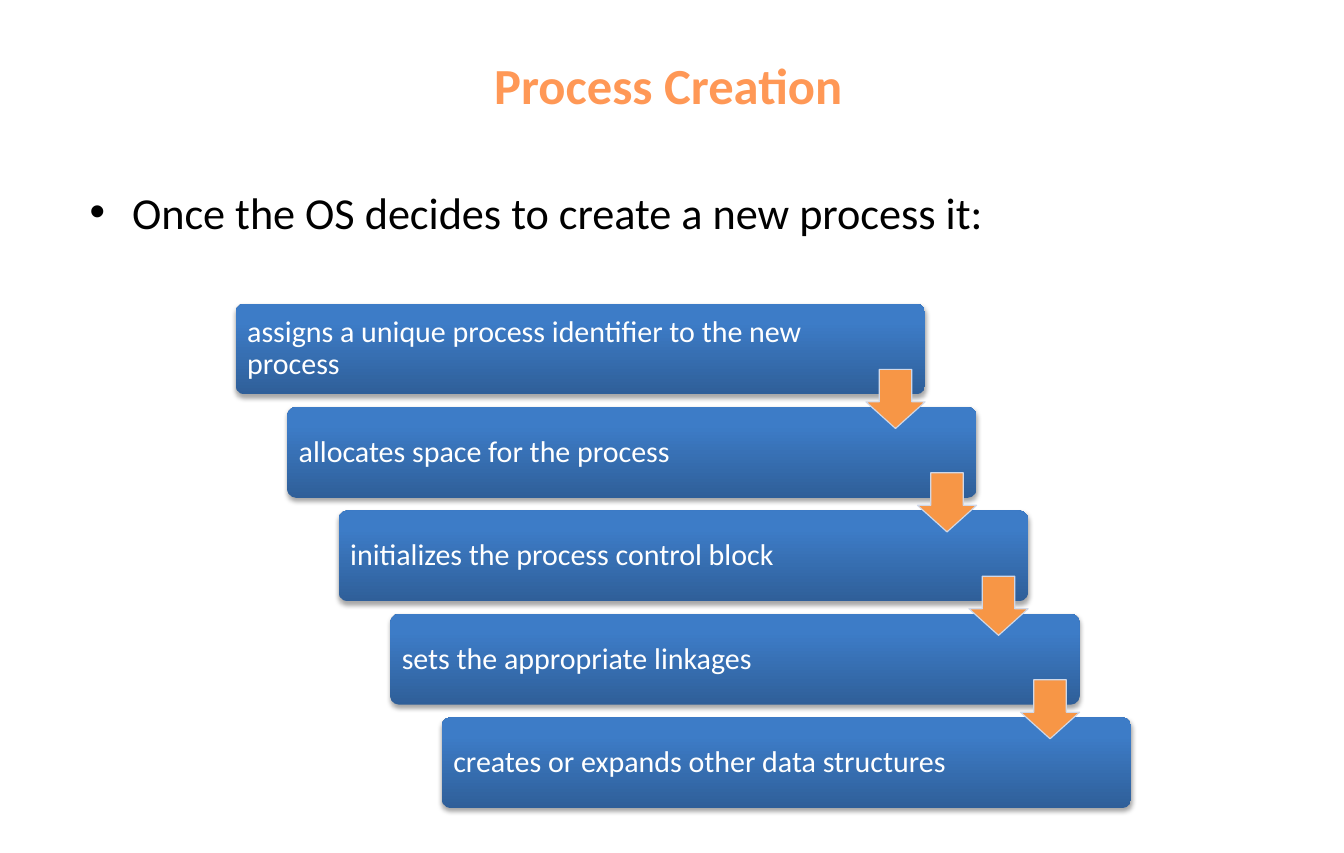
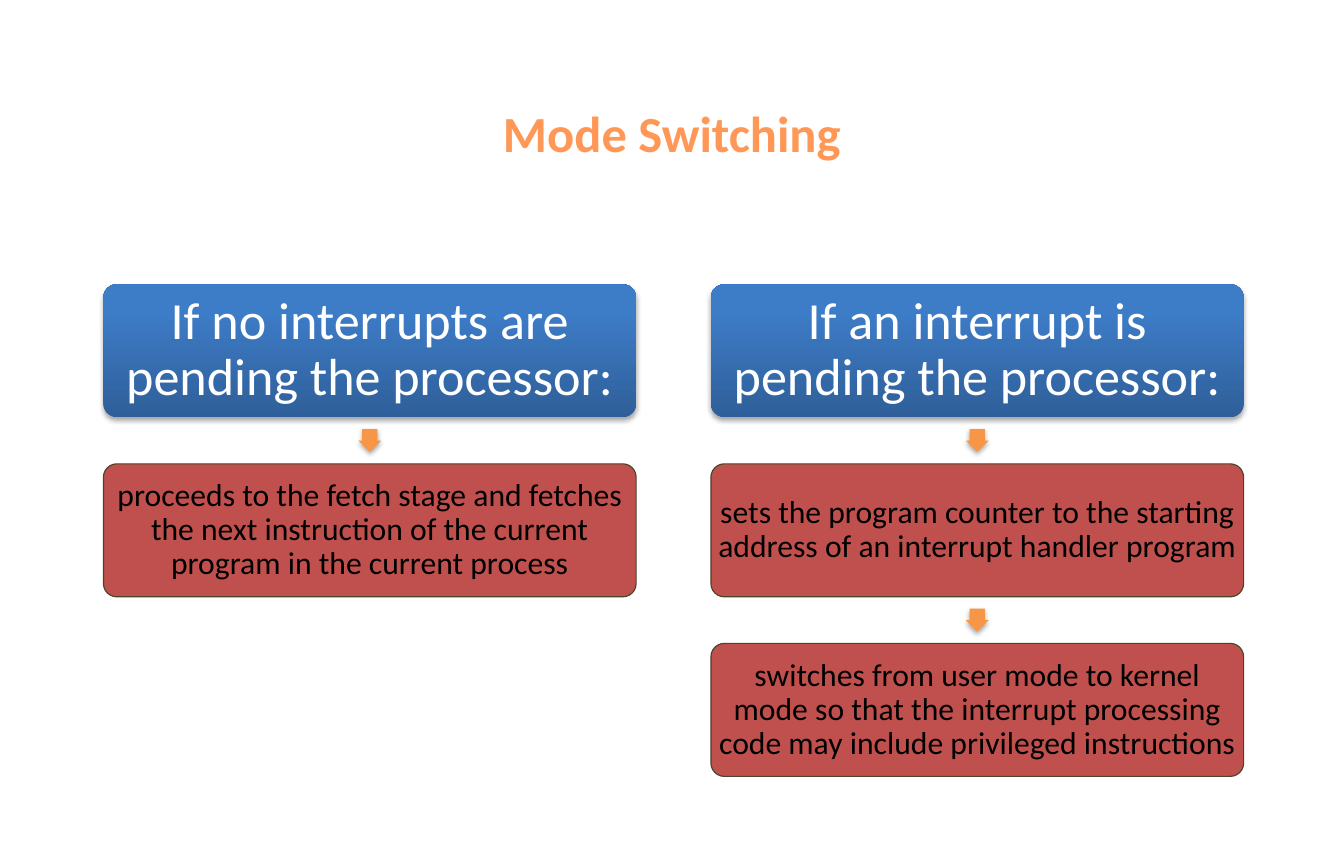
from lxml.etree import SubElement as Sub
from pptx import Presentation
from pptx.dml.color import RGBColor as RGB
from pptx.enum.shapes import MSO_SHAPE as Form
from pptx.enum.text import MSO_ANCHOR as Anchor, PP_ALIGN as Align
from pptx.oxml.ns import qn
from pptx.util import Cm, Pt

# Content
STEPS = [
    "assigns a unique process identifier to the new process",
    "allocates space for the process",
    "initializes the process control block",
    "sets the appropriate linkages",
    "creates or expands other data structures",
]
CASES = [
    ("If no interrupts are pending the processor:",
     ["proceeds to the fetch stage and fetches the next instruction of "
      "the current program in the current process"]),
    ("If an interrupt is pending the processor:",
     ["sets the program counter to the starting address of an interrupt "
      "handler program",
      "switches from user mode to kernel mode so that the interrupt "
      "processing code may include privileged instructions"]),
]

# Shared style
FONT = "Calibri"
PEACH = RGB(0xFF, 0x98, 0x56)
ORANGE = RGB(0xF7, 0x96, 0x46)
NAVY = RGB(0x2F, 0x5F, 0x99)
BLUE = RGB(0x3D, 0x7C, 0xC7)
RED = RGB(0xC0, 0x50, 0x4D)
OLIVE = RGB(0x4A, 0x45, 0x2A)
PALE = RGB(0xD0, 0xD8, 0xE8)
WHITE = RGB(0xFF, 0xFF, 0xFF)
BLACK = RGB(0, 0, 0)


def style(para, size, color, align=Align.LEFT, bold=False):
    para.alignment = align
    font = para.font
    font.name, font.size, font.bold = FONT, Pt(size), bold
    font.color.rgb = color


def text_box(slide, text, x, y, w, h):
    frame = slide.shapes.add_textbox(Cm(x), Cm(y), Cm(w), Cm(h)).text_frame
    frame.word_wrap = True
    frame.text = text
    return frame


def title(slide, text, x, y):
    frame = text_box(slide, text, x, y, 25.68, 3.38)
    frame.vertical_anchor = Anchor.MIDDLE
    style(frame.paragraphs[0], 32, PEACH, Align.CENTER, True)


def shade(shape):
    """Soft shadow below the shape."""
    effects = shape._element.spPr.find(qn("a:effectLst"))
    shadow = Sub(effects, qn("a:outerShdw"), blurRad="40000", dist="23000",
                 dir="5400000", rotWithShape="0")
    color = Sub(shadow, qn("a:srgbClr"), val="000000")
    Sub(color, qn("a:alpha"), val="35000")


def draw(slide, form, x, y, w, h, adjust, fill=None, line=None):
    """Preset shape; without a fill colour it gets the blue gradient."""
    shape = slide.shapes.add_shape(form, Cm(x), Cm(y), Cm(w), Cm(h))
    shape.shadow.inherit = False
    for i, value in enumerate(adjust):
        shape.adjustments[i] = value
    if fill is None:
        shape.fill.gradient()
        shape.fill.gradient_angle = 90
        for stop, color, spot in zip(shape.fill.gradient_stops,
                                     (NAVY, BLUE), (0, 0.8)):
            stop.color.rgb, stop.position = color, spot
        shade(shape)
    else:
        shape.fill.solid()
        shape.fill.fore_color.rgb = fill
    if line is None:
        shape.line.fill.background()
    else:
        shape.line.color.rgb = line
        shape.line.width = Pt(0.75)
    return shape


def card(slide, text, x, y, w, h, size, color, inset, right=None,
         align=Align.CENTER, **look):
    shape = draw(slide, Form.ROUNDED_RECTANGLE, x, y, w, h, [0.1], **look)
    frame = shape.text_frame
    frame.word_wrap = True
    frame.vertical_anchor = Anchor.MIDDLE
    frame.margin_left = frame.margin_top = frame.margin_bottom = Cm(inset)
    frame.margin_right = Cm(right or inset)
    frame.text = text
    para = frame.paragraphs[0]
    para.line_spacing = 0.9
    style(para, size, color, align)


def creation(slide):
    title(slide, "Process Creation", 2.08, 0.2)
    frame = text_box(slide, "Once the OS decides to create a new process it:",
                     1.75, 4.01, 25.76, 11)
    para = frame.paragraphs[0]
    props = para._p.get_or_add_pPr()
    props.set("marL", str(Cm(0.95)))
    props.set("indent", str(-Cm(0.95)))
    Sub(props, qn("a:buFont"), typeface="Arial")
    Sub(props, qn("a:buChar"), char="•")
    style(para, 28, BLACK)

    # Staircase of steps, then the arrows over their corners
    w, h, arrow = 15.39, 2.03, 1.32
    spots = [(5.26 + 1.15 * i, 6.78 + 2.31 * i) for i in range(len(STEPS))]
    for text, (x, y) in zip(STEPS, spots):
        card(slide, text, x, y, w, h, 19, WHITE, 0.2, 2.5, Align.LEFT)
    for x, y in spots[:-1]:
        draw(slide, Form.DOWN_ARROW, x + w - arrow, y + 1.47, arrow, arrow,
             [0.55, 0.45], ORANGE, PALE)


def switching(slide):
    title(slide, "Mode Switching", 2.16, 1.27)
    w, h, gap, arrow = 11.89, 2.97, 1.04, 0.51
    for col, (head, tasks) in enumerate(CASES):
        x, y = 2.31 + 13.56 * col, 6.35
        card(slide, head, x, y, w, h, 33, WHITE, 0.12)
        for task in tasks:
            mark = draw(slide, Form.DOWN_ARROW, x + (w - arrow) / 2,
                        y + h + (gap - arrow) / 2, arrow, arrow,
                        [0.67, 0.5], ORANGE)
            shade(mark)
            y += h + gap
            card(slide, task, x, y, w, h, 20, BLACK, 0.07,
                 fill=RED, line=OLIVE)


def main():
    deck = Presentation()
    deck.slide_width, deck.slide_height = Cm(30), Cm(19.05)
    for build in (creation, switching):
        build(deck.slides.add_slide(deck.slide_layouts[6]))
    deck.save("out.pptx")


if __name__ == "__main__":
    main()
